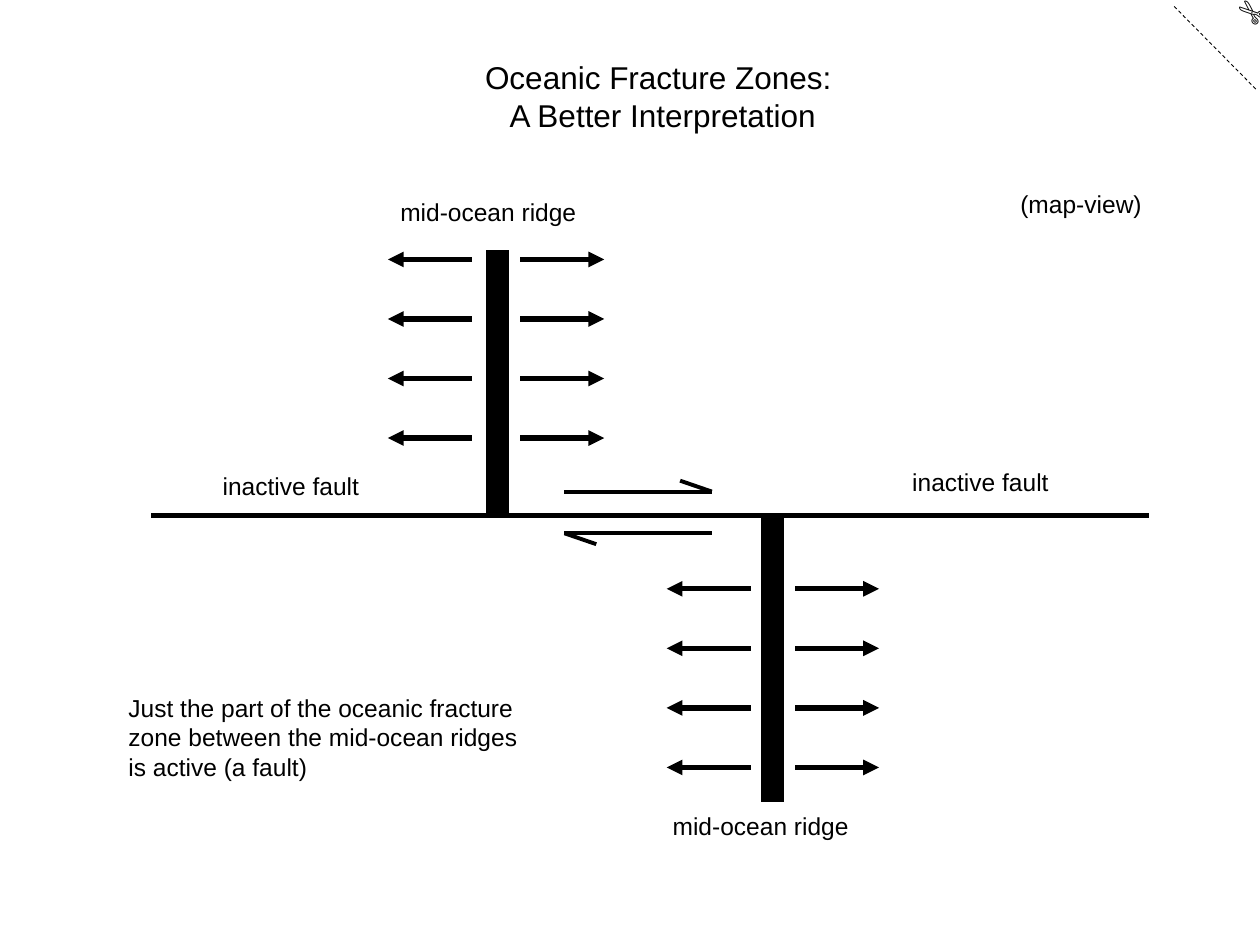
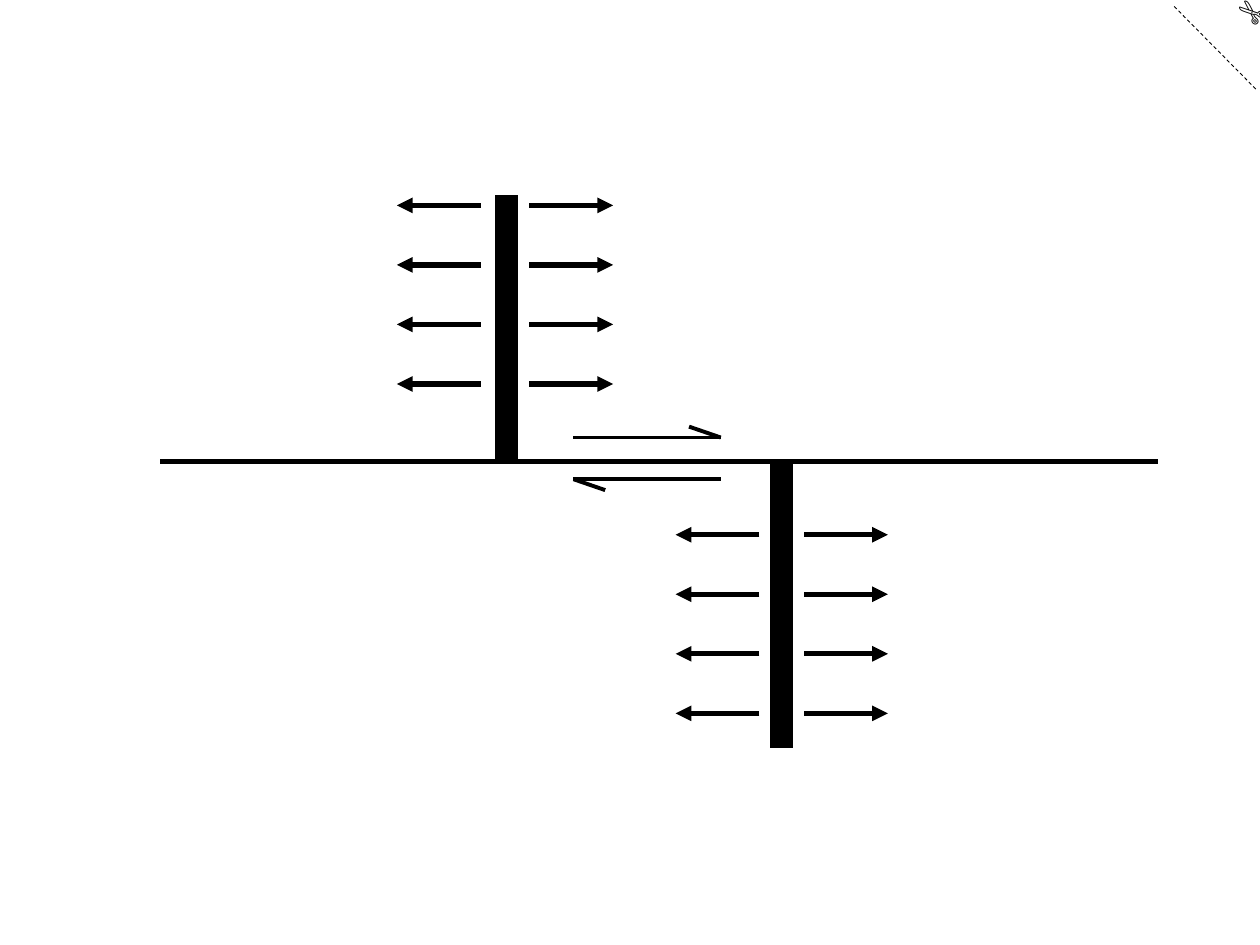
from lxml import etree
from pptx import Presentation
from pptx.dml.color import RGBColor
from pptx.enum.dml import MSO_LINE
from pptx.enum.shapes import MSO_CONNECTOR
from pptx.enum.text import MSO_ANCHOR, MSO_AUTO_SIZE, PP_ALIGN
from pptx.oxml.ns import qn
from pptx.util import Cm, Pt

STRAIGHT = MSO_CONNECTOR.STRAIGHT
DASH = MSO_LINE.DASH
FIT = MSO_AUTO_SIZE.SHAPE_TO_FIT_TEXT
TOP = MSO_ANCHOR.TOP
CENTER = PP_ALIGN.CENTER
LEFT = PP_ALIGN.LEFT

COLORS = {"ink": "000000", "paper": "FFFFFF"}
FONT = "Arial"
TITLE_ONLY, BLANK = 5, 6

# Fault figure, in cm from the left end of the fault line
FAULT_LEN = 20.12
RIDGES = [  # x, far end, first arrow row, gap on the left side
    {"x": 6.98, "end": -5.36, "row": -5.16, "gap": 0.52},
    {"x": 12.52, "end": 5.77, "row": 1.48, "gap": 0.44},
]
RIGHT_GAP = 0.46
ARROW_LEN = 1.69
ROW_STEP = 1.2
ROWS = 4
SLIP_LEFT, SLIP_RIGHT = 8.33, 11.3
SLIP_TOP, SLIP_LOW = -0.48, 0.36
BARB_X, BARB_Y = 0.64, 0.22


def color(name):
    return RGBColor.from_string(COLORS[name])


def add_line(shapes, start, end, width, head=False, dash=None):
    line = shapes.add_connector(STRAIGHT, *map(Cm, start + end))
    line.line.color.rgb = color("ink")
    line.line.width = Pt(width)
    if dash:
        line.line.dash_style = dash
    if head:
        etree.SubElement(line.line._get_or_add_ln(), qn("a:tailEnd"),
                         type="triangle")
    etree.SubElement(line._element.spPr, qn("a:effectLst"))
    return line


def fill_text(frame, lines, size, align=LEFT, font=FONT):
    for i, text in enumerate(lines):
        para = frame.add_paragraph() if i else frame.paragraphs[0]
        para.alignment = align
        para.space_before = Pt(0)
        run = para.add_run()
        run.text = text
        run.font.name = font
        run.font.size = Pt(size)
        run.font.color.rgb = color("ink")


def add_text(slide, text, box, size=14, wrap=False, font=FONT):
    shape = slide.shapes.add_textbox(*map(Cm, box))
    shape.text_frame.word_wrap = wrap
    shape.text_frame.auto_size = FIT
    fill_text(shape.text_frame, [text], size, font=font)
    return shape


def set_title(slide, lines, box):
    title = slide.shapes.title
    title.left, title.top, title.width, title.height = map(Cm, box)
    frame = title.text_frame
    frame.word_wrap = True
    frame.auto_size = FIT
    frame.vertical_anchor = TOP
    fill_text(frame, lines, 18, CENTER)


def new_slide(deck, layout, font):
    """Slide with the dashed cut mark in its top right corner."""
    slide = deck.slides.add_slide(deck.slide_layouts[layout])
    slide.background.fill.solid()
    slide.background.fill.fore_color.rgb = color("paper")
    add_line(slide.shapes, (23.67, 0.13), (25.35, 1.83), 0.5, dash=DASH)
    mark = add_text(slide, "✄", (24.67, -0.25, 1.07, 1.02), 18, font=font)
    mark.rotation = 220.5
    return slide


def draw_fault(slide, left, top):
    def draw(shapes, x1, y1, x2, y2, width, head=False):
        add_line(shapes, (left + x1, top + y1), (left + x2, top + y2),
                 width, head)

    # Fault and ridges
    draw(slide.shapes, 0, 0, FAULT_LEN, 0, 3)
    for ridge in RIDGES:
        draw(slide.shapes, ridge["x"], 0, ridge["x"], ridge["end"], 13)

    # Spreading arrows on both sides of each ridge
    spread = slide.shapes.add_group_shape().shapes
    for ridge in RIDGES:
        for side, gap in ((1, RIGHT_GAP), (-1, ridge["gap"])):
            start = ridge["x"] + side * gap
            for i in range(ROWS):
                y = ridge["row"] + i * ROW_STEP
                draw(spread, start, y, start + side * ARROW_LEN, y, 3, True)

    # Half arrows for the slip along the fault
    slip = slide.shapes.add_group_shape().shapes
    for tail, tip, y, side in ((SLIP_LEFT, SLIP_RIGHT, SLIP_TOP, -1),
                               (SLIP_RIGHT, SLIP_LEFT, SLIP_LOW, 1)):
        draw(slip, tail, y, tip, y, 2.25)
        draw(slip, tip, y, tip + side * BARB_X, y + side * BARB_Y, 2.25)


def main():
    deck = Presentation()
    deck.slide_width, deck.slide_height = Cm(25.4), Cm(19.05)

    # Labelled map
    slide = new_slide(deck, TITLE_ONLY, FONT)
    set_title(slide, ["Oceanic Fracture Zones: ", "A Better Interpretation"],
              (8.66, 1.04, 9.4, 1.8))
    draw_fault(slide, 3.05, 10.39)
    add_text(slide, "Just the part of the oceanic fracture zone between "
             "the mid-ocean ridges is active (a fault)",
             (2.34, 13.84, 8.84, 2.06), wrap=True)
    for text, x, y, width in (("mid-ocean ridge", 7.82, 3.84, 4.06),
                              ("mid-ocean ridge", 13.31, 16.23, 4.06),
                              ("(map-view)", 20.32, 3.68, 2.97),
                              ("inactive fault", 18.14, 9.3, 3.28),
                              ("inactive fault", 4.24, 9.37, 3.28)):
        add_text(slide, text, (x, y, width, 0.86))

    # Bare map
    slide = new_slide(deck, BLANK, "Calibri")
    draw_fault(slide, 3.23, 9.3)

    deck.save("out.pptx")


if __name__ == "__main__":
    main()
